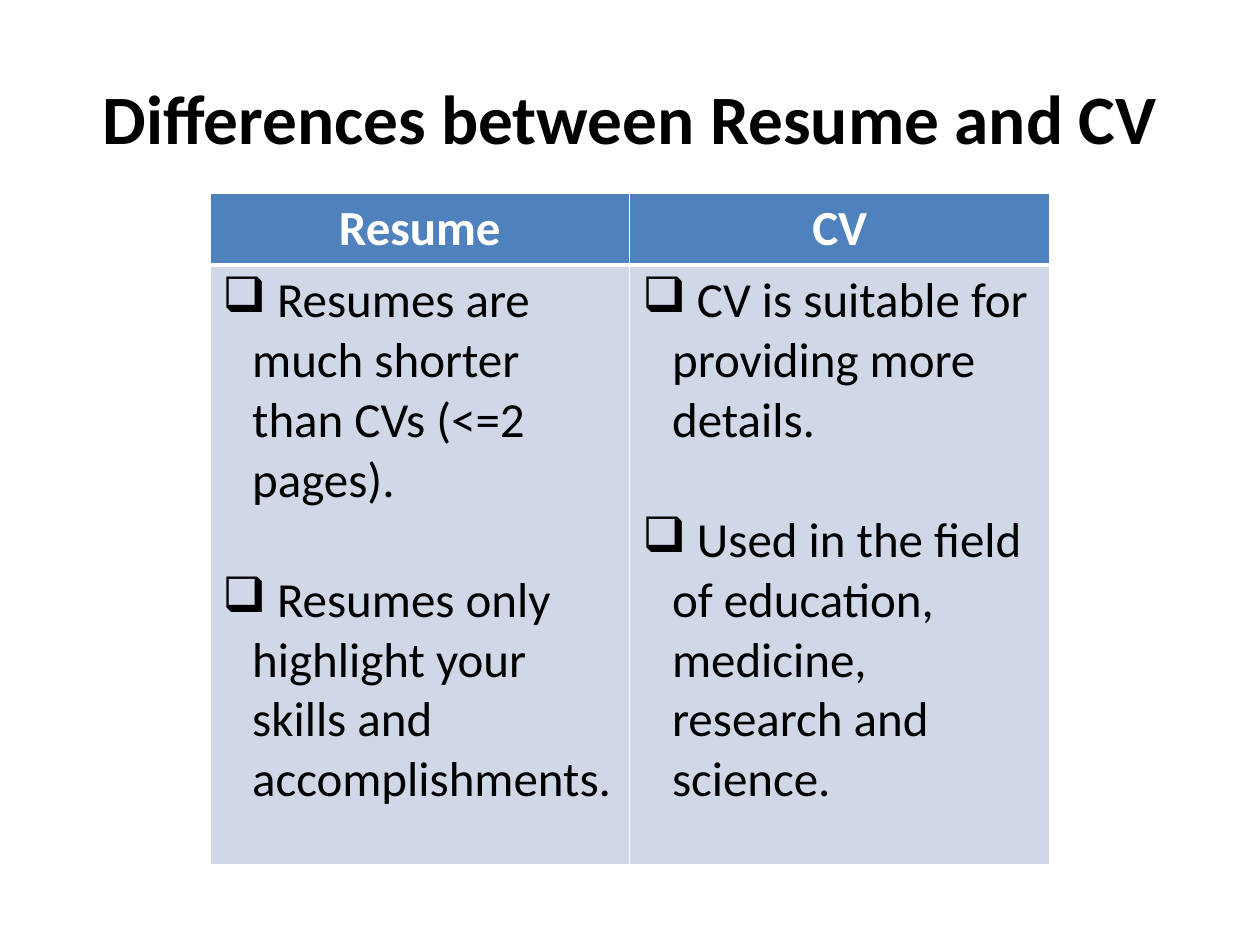
from dataclasses import dataclass

from lxml import etree
from pptx import Presentation
from pptx.dml.color import RGBColor
from pptx.enum.text import MSO_ANCHOR, PP_ALIGN
from pptx.oxml.ns import qn
from pptx.util import Cm, Pt

CENTER = PP_ALIGN.CENTER
MIDDLE = MSO_ANCHOR.MIDDLE
FONT = "Calibri"
COLORS = {"black": "000000", "white": "FFFFFF", "header": "4F81BD", "body": "D0D8E7"}
BODY_SIZE = 28
PARAGRAPH_GAP = Pt(34.2)
BULLET_INDENT = Cm(0.6)
THIN, THICK = Pt(0.96), Pt(3)


@dataclass
class Column:
    heading: str
    points: list[str]


COLUMNS = [
    Column("Resume", [
        " Resumes are much shorter than CVs (<=2 pages).",
        " Resumes only highlight your skills and accomplishments.",
    ]),
    Column("CV", [
        " CV is suitable for providing more details.",
        " Used in the field of education, medicine, research and science.",
    ]),
]


def add_run(p, text: str, size: float, color: str, bold: bool) -> None:
    r = p.add_run()
    r.text = text
    r.font.name = FONT
    r.font.size = Pt(size)
    r.font.bold = bold
    r.font.color.rgb = RGBColor.from_string(COLORS[color])


def add_color(parent, color: str) -> None:
    etree.SubElement(parent, qn("a:srgbClr"), val=COLORS[color])


def add_bullet(p) -> None:
    """Give the paragraph a hanging box bullet."""
    pPr = p._p.get_or_add_pPr()
    pPr.set("marL", str(BULLET_INDENT))
    pPr.set("indent", str(-BULLET_INDENT))
    add_color(etree.SubElement(pPr, qn("a:buClr")), "black")
    etree.SubElement(pPr, qn("a:buChar"), char="❑")


def style_cell(cell, fill: str, top: int, bottom: int) -> None:
    """Fill the cell and draw white borders, thin at the sides."""
    cell.fill.solid()
    cell.fill.fore_color.rgb = RGBColor.from_string(COLORS[fill])
    tcPr = cell._tc.get_or_add_tcPr()
    borders = (("a:lnL", THIN), ("a:lnR", THIN), ("a:lnT", top), ("a:lnB", bottom))
    for i, (tag, width) in enumerate(borders):
        ln = etree.Element(qn(tag), w=str(width))
        add_color(etree.SubElement(ln, qn("a:solidFill")), "white")
        tcPr.insert(i, ln)


def add_title(s, text: str) -> None:
    tf = s.shapes.add_textbox(Cm(1.27), Cm(0.76), Cm(22.86), Cm(3.18)).text_frame
    tf.word_wrap = True
    tf.vertical_anchor = MIDDLE
    p = tf.paragraphs[0]
    p.alignment = CENTER
    add_run(p, text, 39.6, "black", True)


def add_comparison(s, columns: list[Column]) -> None:
    table = s.shapes.add_table(
        2, len(columns), Cm(4.23), Cm(3.89), Cm(16.93), Cm(13.54)
    ).table
    table.rows[0].height = Cm(1.45)
    table.rows[1].height = Cm(12.09)
    for i, column in enumerate(columns):
        head, body = table.cell(0, i), table.cell(1, i)
        style_cell(head, "header", THIN, THICK)
        style_cell(body, "body", THICK, THIN)
        p = head.text_frame.paragraphs[0]
        p.alignment = CENTER
        add_run(p, column.heading, BODY_SIZE, "white", True)
        tf = body.text_frame
        for j, point in enumerate(column.points):
            p = tf.add_paragraph() if j else tf.paragraphs[0]
            if j:
                p.space_before = PARAGRAPH_GAP
            add_bullet(p)
            add_run(p, point, BODY_SIZE, "black", False)


def main() -> None:
    prs = Presentation()
    prs.slide_width, prs.slide_height = Cm(25.4), Cm(19.05)
    s = prs.slides.add_slide(prs.slide_layouts[6])
    add_title(s, "Differences between Resume and CV")
    add_comparison(s, COLUMNS)
    prs.save("out.pptx")


if __name__ == "__main__":
    main()
